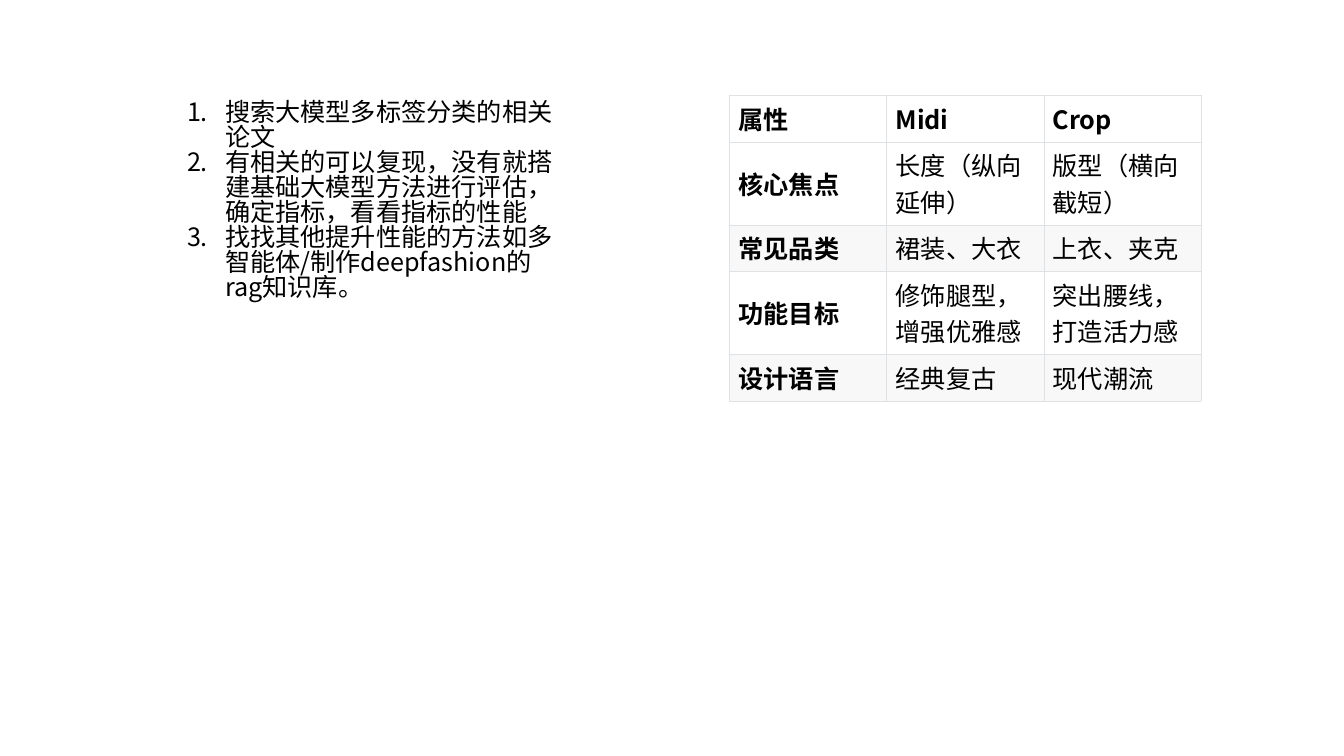
from pptx import Presentation
from pptx.dml.color import RGBColor
from pptx.enum.text import MSO_ANCHOR as Anchor, MSO_AUTO_SIZE as AutoSize
from pptx.oxml.ns import qn
from pptx.util import Pt
from lxml.etree import SubElement

PX = 9080  # EMU in one px
FONT = "Noto Sans CJK SC"
BLACK = RGBColor(0x00, 0x00, 0x00)
BAND = RGBColor(0xF8, 0xF8, 0xF8)
BORDER = RGBColor(0xDF, 0xE2, 0xE5)

STEPS = [
    "搜索大模型多标签分类的相关论文",
    "有相关的可以复现，没有就搭建基础大模型方法进行评估，确定指标，看看指标的性能",
    "找找其他提升性能的方法如多智能体/制作deepfashion的rag知识库。",
]
ATTRIBUTES = [
    ["属性", "Midi", "Crop"],
    ["核心焦点", "长度（纵向延伸）", "版型（横向截短）"],
    ["常见品类", "裙装、大衣", "上衣、夹克"],
    ["功能目标", "修饰腿型，增强优雅感", "突出腰线，打造活力感"],
    ["设计语言", "经典复古", "现代潮流"],
]


class SlideBuilder:
    def __init__(self, slide, size=18):
        self.slide = slide
        self.size = Pt(size)

    def style_runs(self, paragraph, bold=False):
        for run in paragraph.runs:
            font = run.font
            font.name, font.size, font.bold = FONT, self.size, bold
            font.color.rgb = BLACK
            SubElement(run._r.get_or_add_rPr(), qn("a:ea"), typeface=FONT)

    def numbered_list(self, items, left, top, width, height, indent):
        box = self.slide.shapes.add_textbox(*(v * PX for v in (left, top, width, height)))
        text_frame = box.text_frame
        text_frame.word_wrap = True
        text_frame.auto_size = AutoSize.SHAPE_TO_FIT_TEXT
        text_frame.text = "\n".join(items)
        for paragraph in text_frame.paragraphs:
            properties = paragraph._p.get_or_add_pPr()
            properties.set("marL", str(indent * PX))
            properties.set("indent", str(-indent * PX))
            bullet_color = SubElement(properties, qn("a:buClr"))
            SubElement(bullet_color, qn("a:srgbClr"), val=str(BLACK))
            SubElement(properties, qn("a:buFont"), typeface=FONT)
            SubElement(properties, qn("a:buAutoNum"), type="arabicPeriod")
            paragraph.line_spacing = 0.83
            self.style_runs(paragraph)

    def cell_borders(self, cell):
        properties = cell._tc.get_or_add_tcPr()
        for side in ("lnL", "lnR", "lnT", "lnB"):
            line = SubElement(properties, qn(f"a:{side}"), w=str(Pt(0.23)))
            fill = SubElement(line, qn("a:solidFill"))
            SubElement(fill, qn("a:srgbClr"), val=str(BORDER))

    def table(self, rows, left, top, column_width, row_heights):
        columns = len(rows[0])
        frame = self.slide.shapes.add_table(
            len(rows), columns, left * PX, top * PX,
            columns * column_width * PX, sum(row_heights) * PX)
        table = frame.table
        table.first_row = table.horz_banding = False
        for column in table.columns:
            column.width = column_width * PX
        for row_index, texts in enumerate(rows):
            table.rows[row_index].height = row_heights[row_index] * PX
            for column_index, text in enumerate(texts):
                cell = table.cell(row_index, column_index)
                cell.text_frame.text = text
                cell.vertical_anchor = Anchor.MIDDLE
                cell.margin_left = cell.margin_right = 9 * PX
                cell.margin_top = cell.margin_bottom = 5 * PX
                self.style_runs(cell.text_frame.paragraphs[0],
                                bold=row_index == 0 or column_index == 0)
                self.cell_borders(cell)
                # Every second body row is shaded
                if row_index and row_index % 2 == 0:
                    cell.fill.solid()
                    cell.fill.fore_color.rgb = BAND
                else:
                    cell.fill.background()


def main():
    presentation = Presentation()
    presentation.slide_width = 1343 * PX
    presentation.slide_height = 755 * PX
    slide = presentation.slides.add_slide(presentation.slide_layouts[6])
    builder = SlideBuilder(slide)

    # Comparison of the two attributes
    builder.table(ATTRIBUTES, 729, 95, 157, [38, 68, 38, 68, 38])

    # Work plan
    builder.numbered_list(STEPS, 177, 96, 398, 252, 38)

    presentation.save("out.pptx")


if __name__ == "__main__":
    main()
